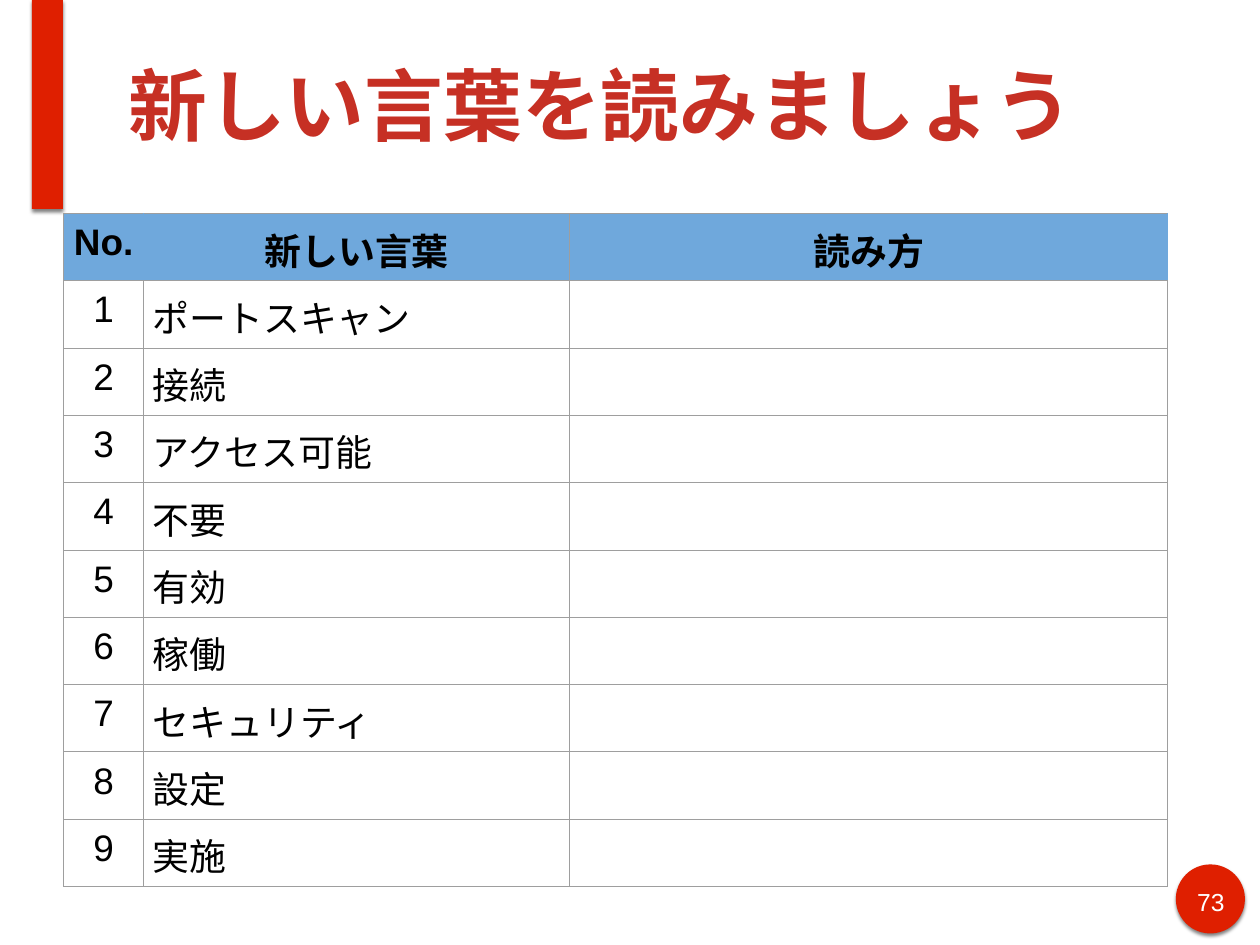
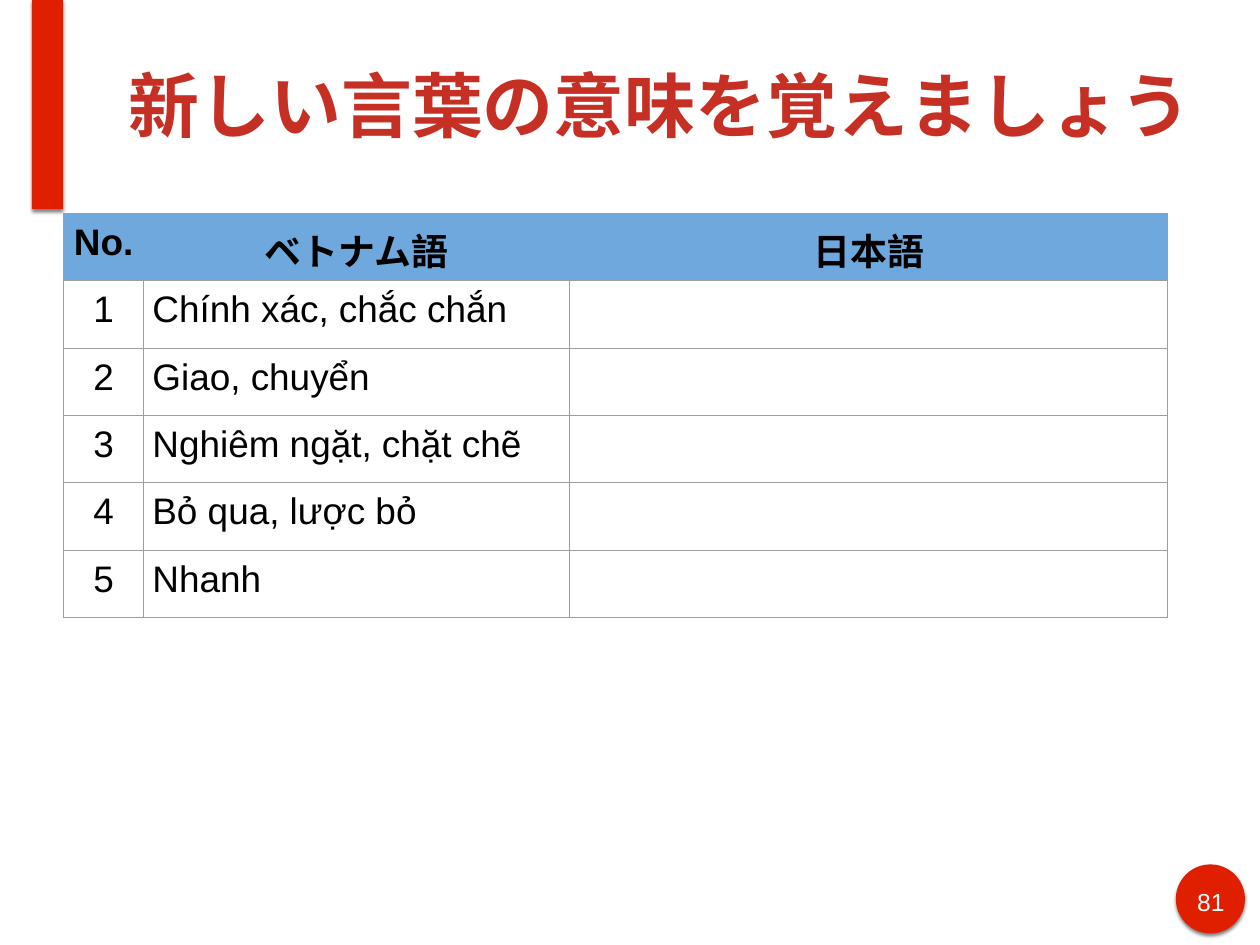
from lxml.etree import SubElement
from pptx import Presentation
from pptx.dml.color import RGBColor
from pptx.enum.shapes import MSO_SHAPE
from pptx.enum.text import MSO_ANCHOR, MSO_AUTO_SIZE, PP_ALIGN
from pptx.oxml.ns import qn
from pptx.util import Inches, Pt

RED = RGBColor(0xDF, 0x1F, 0x00)
TITLE_RED = RGBColor(0xC6, 0x30, 0x24)
HEADER_BLUE = RGBColor(0x6F, 0xA8, 0xDC)
GRID_GRAY = RGBColor(0x9E, 0x9E, 0x9E)
BLACK = RGBColor(0, 0, 0)
WHITE = RGBColor(255, 255, 255)
FONT = "Arial"

ACCENTS = [
    (MSO_SHAPE.OVAL, (13.27, 9.76, 0.78, 0.78)),
    (MSO_SHAPE.RECTANGLE, (0.36, 0, 0.35, 2.36)),
]
TITLE_BOX = (1.39, 0.12, 12.14, 2.12)
NUMBER_BOX = (13.42, 9.95, 0.49, 0.39)
TABLE_LEFT, TABLE_TOP = 0.72, 2.41
COLUMN_WIDTHS = (0.9, 4.81, 6.75)
ROW_HEIGHT = 0.76

LESSONS = [
    {
        "title": "新しい言葉を読みましょう",
        "title_size": 64,
        "number": "73",
        "header": ("No.", "新しい言葉", "読み方"),
        "words": ["ポートスキャン", "接続", "アクセス可能", "不要", "有効",
                  "稼働", "セキュリティ", "設定", "実施"],
    },
    {
        "title": "新しい言葉の意味を覚えましょう",
        "title_size": 57.6,
        "number": "81",
        "header": ("No.", "ベトナム語", "日本語"),
        "words": ["Chính xác, chắc chắn", "Giao, chuyển",
                  "Nghiêm ngặt, chặt chẽ", "Bỏ qua, lược bỏ", "Nhanh"],
    },
]


def inches(lengths):
    return [Inches(length) for length in lengths]


def set_insets(frame, inset):
    frame.margin_left = frame.margin_right = Inches(inset)
    frame.margin_top = frame.margin_bottom = Inches(inset)


def write(frame, text, size, color, bold=False, align=PP_ALIGN.LEFT):
    frame.text = text
    paragraph = frame.paragraphs[0]
    paragraph.alignment = align
    for run in paragraph.runs:
        run.font.name = FONT
        run.font.size = Pt(size)
        run.font.bold = bold
        run.font.color.rgb = color


def add_soft_shadow(shape):
    shape.shadow.inherit = False
    effects = shape.element.spPr.find(qn("a:effectLst"))
    shadow = SubElement(effects, qn("a:outerShdw"), blurRad=str(Pt(3)),
                        dist=str(Pt(2)), dir="5400000", rotWithShape="0")
    color = SubElement(shadow, qn("a:srgbClr"), val="000000")
    SubElement(color, qn("a:alpha"), val="50000")


def dress_layout(layout, slide):
    """Place the title area and move the accents, drawn on slide, to the layout."""
    title = layout.placeholders[0]
    title.left, title.top, title.width, title.height = inches(TITLE_BOX)
    for position, (preset, box) in enumerate(ACCENTS, start=2):
        accent = slide.shapes.add_shape(preset, *inches(box))
        accent.fill.solid()
        accent.fill.fore_color.rgb = RED
        accent.line.fill.background()
        add_soft_shadow(accent)
        layout.shapes.element.insert(position, accent.element)


def set_borders(cell, colors):
    """Give left, right, top and bottom edges; the fill must be set later."""
    properties = cell._tc.get_or_add_tcPr()
    for edge, color in zip(("lnL", "lnR", "lnT", "lnB"), colors):
        line = SubElement(properties, qn(f"a:{edge}"), w=str(Pt(0.75)))
        fill = SubElement(line, qn("a:solidFill"))
        SubElement(fill, qn("a:srgbClr"), val=str(color))


def add_vocabulary(slide, header, words):
    rows = [header] + [(str(n), word, "") for n, word in enumerate(words, 1)]
    table = slide.shapes.add_table(
        len(rows), len(header),
        *inches((TABLE_LEFT, TABLE_TOP, sum(COLUMN_WIDTHS),
                 ROW_HEIGHT * len(rows)))).table
    table.horz_banding = False
    for column, width in zip(table.columns, COLUMN_WIDTHS):
        column.width = Inches(width)
    for r, row in enumerate(rows):
        table.rows[r].height = Inches(ROW_HEIGHT)
        is_header = r == 0
        for c, text in enumerate(row):
            cell = table.cell(r, c)
            set_insets(cell, 0.1)
            left = HEADER_BLUE if is_header and c == 1 else GRID_GRAY
            right = HEADER_BLUE if is_header and c != 1 else GRID_GRAY
            set_borders(cell, (left, right, GRID_GRAY, GRID_GRAY))
            if is_header:
                cell.fill.solid()
                cell.fill.fore_color.rgb = HEADER_BLUE
            else:
                cell.fill.background()
            centred = is_header or c == 0
            write(cell.text_frame, text, 30, BLACK, bold=is_header,
                  align=PP_ALIGN.CENTER if centred else PP_ALIGN.LEFT)


def add_lesson(slide, lesson):
    title = slide.shapes.title.text_frame
    write(title, lesson["title"], lesson["title_size"], TITLE_RED, bold=True)
    title.auto_size = MSO_AUTO_SIZE.NONE
    title.vertical_anchor = MSO_ANCHOR.MIDDLE
    set_insets(title, 0.06)

    number = slide.shapes.add_textbox(*inches(NUMBER_BOX)).text_frame
    number.word_wrap = True
    set_insets(number, 0.06)
    write(number, lesson["number"], 20, WHITE, align=PP_ALIGN.CENTER)

    add_vocabulary(slide, lesson["header"], lesson["words"])


def main():
    deck = Presentation()
    deck.slide_width, deck.slide_height = inches((14.22, 10.67))
    layout = deck.slide_layouts[5]
    slides = [deck.slides.add_slide(layout) for _ in LESSONS]
    dress_layout(layout, slides[0])
    for slide, lesson in zip(slides, LESSONS):
        add_lesson(slide, lesson)
    deck.save("out.pptx")


if __name__ == "__main__":
    main()
